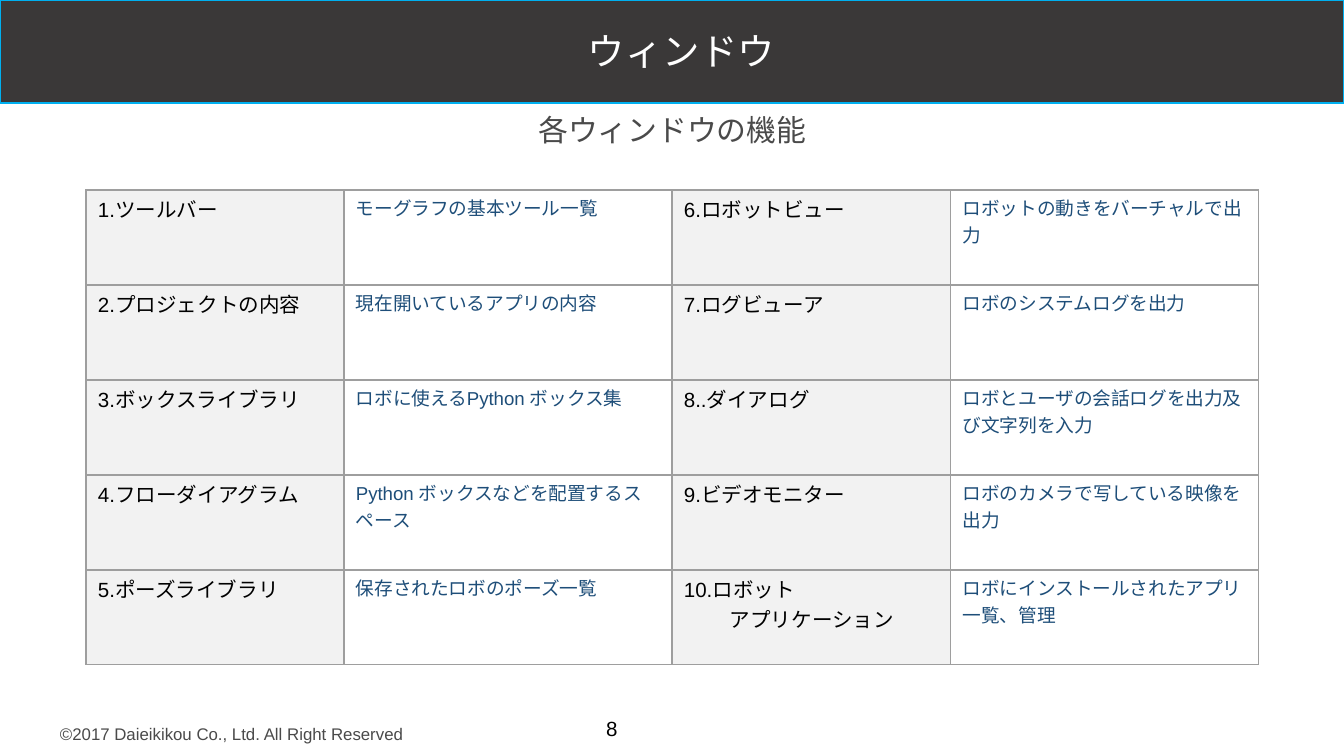
from lxml.etree import SubElement as Sub
from pptx import Presentation
from pptx.dml.color import RGBColor
from pptx.enum.shapes import MSO_SHAPE as Kind
from pptx.enum.text import MSO_ANCHOR as Anchor, MSO_AUTO_SIZE as Fit, PP_ALIGN as Align
from pptx.oxml.ns import qn
from pptx.util import Emu, Pt

# Content
TITLE = "各ウィンドウの機能"
TOPIC = "ウィンドウ"
RIGHTS = "©2017 Daieikikou Co., Ltd. All Right Reserved"
PAGE = "8"
ROWS = [
    ("1.ツールバー", "モーグラフの基本ツール一覧",
     "6.ロボットビュー", "ロボットの動きをバーチャルで出力"),
    ("2.プロジェクトの内容", "現在開いているアプリの内容",
     "7.ログビューア", "ロボのシステムログを出力"),
    ("3.ボックスライブラリ", "ロボに使えるPython ボックス集",
     "8..ダイアログ", "ロボとユーザの会話ログを出力及び文字列を入力"),
    ("4.フローダイアグラム", "Python ボックスなどを配置するスペース",
     "9.ビデオモニター", "ロボのカメラで写している映像を出力"),
    ("5.ポーズライブラリ", "保存されたロボのポーズ一覧",
     "10.ロボット\nアプリケーション", "ロボにインストールされたアプリ一覧、管理"),
]

# Style
HEX = {"band": "3A3838", "edge": "00B0F0", "gray": "4A4A4A", "white": "FFFFFF",
       "black": "000000", "blue": "1E4E79", "name": "F2F2F2", "grid": "9E9E9E"}
LATIN, ASIAN = "Arial", "Noto Sans CJK JP"
COLS, ROW_H = (258, 328, 279, 308), 95
HANG = 46  # indent of a second line in a name cell


def px(n):
    return Emu(round(n * 914400 / 134.4))


def rgb(key):
    return RGBColor.from_string(HEX[key])


def style(par, size, color, face=LATIN):
    font = par.font
    font.name, font.size = face, Pt(size)
    font.color.rgb = rgb(color)
    Sub(par._p.pPr.find(qn("a:defRPr")), qn("a:ea"), typeface=ASIAN)


def place(box, text, at, pad, size, color, face=LATIN, anchor=Anchor.MIDDLE):
    box.left, box.top, box.width, box.height = map(px, at)
    frame = box.text_frame
    frame.word_wrap, frame.auto_size = True, Fit.NONE
    frame.vertical_anchor = anchor
    frame.margin_left = frame.margin_right = px(pad[0])
    frame.margin_top = frame.margin_bottom = px(pad[1])
    frame.text = text
    par = frame.paragraphs[0]
    style(par, size, color, face)
    return par


def rule(cell):
    props = cell._tc.get_or_add_tcPr()
    for side in ("lnL", "lnR", "lnT", "lnB"):
        line = Sub(props, qn("a:" + side), w=str(Pt(0.75)))
        Sub(Sub(line, qn("a:solidFill")), qn("a:srgbClr"), val=HEX["grid"])


deck = Presentation()
deck.slide_width, deck.slide_height = px(1344), px(756)
slide = deck.slides.add_slide(deck.slide_layouts[5])
shapes = slide.shapes


def label(*args, **opts):
    return place(shapes.add_textbox(0, 0, 0, 0), *args, **opts)


# Top band
band = shapes.add_shape(Kind.RECTANGLE, 0, 0, px(1344), px(103))
band.shadow.inherit = False
band.fill.solid()
band.fill.fore_color.rgb = rgb("band")
band.line.color.rgb = rgb("edge")
band.line.width = Pt(1)

# Headings
head = place(shapes.title, TITLE, (219, 112, 907, 40), (11, 11), 16, "gray", ASIAN)
head.alignment, head.line_spacing = Align.CENTER, 0.9
topic = label(TOPIC, (86, 4, 1173, 94), (11, 11), 20, "white", ASIAN)
topic.alignment = Align.CENTER
topic._p.pPr.set("marL", str(px(18)))

# Table of windows
table = shapes.add_table(len(ROWS), len(COLS), px(86), px(190),
                         px(sum(COLS)), px(ROW_H * len(ROWS))).table
table.first_row = table.horz_banding = False
for col, wide in zip(table.columns, COLS):
    col.width = px(wide)
for r, row in enumerate(ROWS):
    table.rows[r].height = px(ROW_H)
    for c, text in enumerate(row):
        cell = table.cell(r, c)
        cell.margin_left = cell.margin_right = px(12)
        cell.margin_top = cell.margin_bottom = px(4)
        rule(cell)
        named = c % 2 == 0
        if named:
            cell.fill.solid()
            cell.fill.fore_color.rgb = rgb("name")
        else:
            cell.fill.background()
        cell.text = text
        for i, par in enumerate(cell.text_frame.paragraphs):
            style(par, *((11, "black") if named else (10, "blue")))
            if i:
                par._p.pPr.set("marL", str(px(HANG)))

# Footer
label(RIGHTS, (52, 716, 501, 48), (8, 8), 9, "gray", anchor=Anchor.TOP)
label(PAGE, (595, 708, 155, 40), (11, 5), 11, "black")

deck.save("out.pptx")
